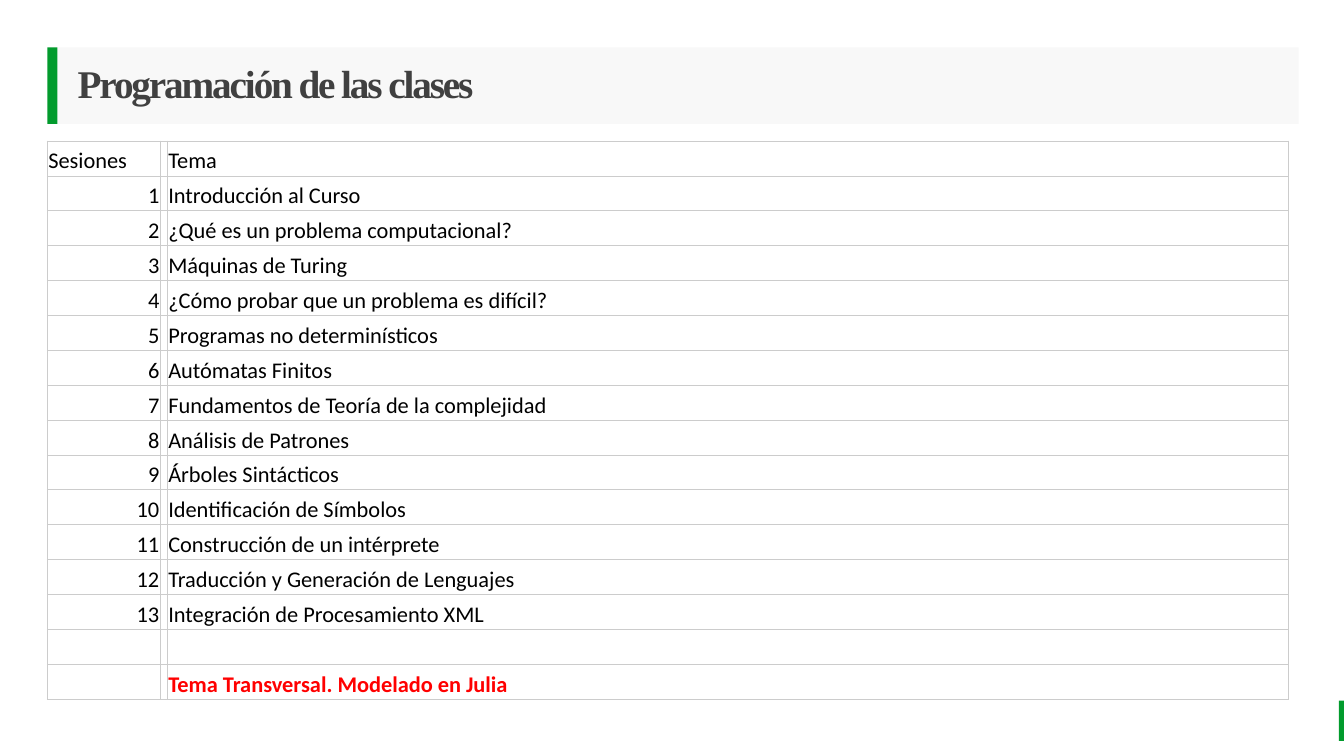
import dataclasses

import pptx
import pptx.dml.color
import pptx.enum.shapes
import pptx.enum.text
import pptx.oxml
import pptx.oxml.ns
import pptx.util
from lxml import etree

Inches = pptx.util.Inches
Pt = pptx.util.Pt
RGBColor = pptx.dml.color.RGBColor
PP_ALIGN = pptx.enum.text.PP_ALIGN
MSO_ANCHOR = pptx.enum.text.MSO_ANCHOR


@dataclasses.dataclass(frozen=True)
class Theme:
    accent: str = "029B2D"
    band: str = "F2F2F2"
    band_opacity: int = 50
    heading: str = "404040"
    text: str = "000000"
    highlight: str = "FF0000"
    border: str = "CCCCCC"
    border_width: float = 0.75
    heading_font: str = "Times New Roman"
    text_font: str = "Calibri"
    heading_size: int = 28
    text_size: int = 16
    heading_spacing: float = -1.5


THEME = Theme()
TOPICS = [
    "Introducción al Curso",
    "¿Qué es un problema computacional?",
    "Máquinas de Turing",
    "¿Cómo probar que un problema es difícil?",
    "Programas no determinísticos",
    "Autómatas Finitos",
    "Fundamentos de Teoría de la complejidad",
    "Análisis de Patrones",
    "Árboles Sintácticos",
    "Identificación de Símbolos",
    "Construcción de un intérprete",
    "Traducción y Generación de Lenguajes",
    "Integración de Procesamiento XML",
]
CROSS_TOPIC = "Tema Transversal. Modelado en Julia"
COLUMN_WIDTHS = (1.12, 0.07, 11.12)
ROW_HEIGHT = 5.54 / 16


def add_run(paragraph, text, font, size, color, bold=False):
    run = paragraph.add_run()
    run.text = text
    run.font.name = font
    run.font.size = Pt(size)
    run.font.bold = bold
    run.font.color.rgb = RGBColor.from_string(color)
    return run


def add_accent_bar(slide, left, top, width, height):
    bar = slide.shapes.add_shape(
        pptx.enum.shapes.MSO_SHAPE.RECTANGLE,
        Inches(left), Inches(top), Inches(width), Inches(height))
    bar.shadow.inherit = False
    bar.fill.solid()
    bar.fill.fore_color.rgb = RGBColor.from_string(THEME.accent)
    bar.line.fill.background()


def fill_title(title, text):
    title.left, title.top = Inches(0.57), Inches(0.47)
    title.width, title.height = Inches(12.31), Inches(0.76)
    title.fill.solid()
    title.fill.fore_color.rgb = RGBColor.from_string(THEME.band)
    band_color = title.fill._xPr.find(".//" + pptx.oxml.ns.qn("a:srgbClr"))
    etree.SubElement(band_color, pptx.oxml.ns.qn("a:alpha"),
                     val=str(THEME.band_opacity * 1000))
    frame = title.text_frame
    frame.word_wrap = True
    frame.auto_size = pptx.enum.text.MSO_AUTO_SIZE.NONE
    frame.vertical_anchor = MSO_ANCHOR.MIDDLE
    frame.margin_left = Inches(0.2)
    frame.margin_top = frame.margin_right = frame.margin_bottom = 0
    heading = frame.paragraphs[0]
    heading.alignment = PP_ALIGN.LEFT
    heading.line_spacing = 0.9
    run = add_run(heading, text, THEME.heading_font, THEME.heading_size,
                  THEME.heading, bold=True)
    run.font._element.set("spc", str(int(THEME.heading_spacing * 100)))


def set_borders(cell):
    properties = cell._tc.get_or_add_tcPr()
    for position, side in enumerate(("lnL", "lnR", "lnT", "lnB")):
        properties.insert(position, pptx.oxml.parse_xml(
            f'<a:{side} {pptx.oxml.ns.nsdecls("a")} w="{Pt(THEME.border_width)}">'
            f'<a:solidFill><a:srgbClr val="{THEME.border}"/></a:solidFill>'
            f'</a:{side}>'))


def format_cell(cell):
    cell.fill.background()
    set_borders(cell)
    cell.vertical_anchor = MSO_ANCHOR.BOTTOM
    cell.margin_left = cell.margin_right = Inches(0.01)
    cell.margin_top = cell.margin_bottom = Inches(0.01)


def write_cell(cell, text, color=THEME.text, bold=False, align=PP_ALIGN.LEFT):
    paragraph = cell.text_frame.paragraphs[0]
    paragraph.alignment = align
    add_run(paragraph, text, THEME.text_font, THEME.text_size, color, bold)


def add_schedule(slide):
    row_count = len(TOPICS) + 3
    schedule = slide.shapes.add_table(
        row_count, len(COLUMN_WIDTHS), Inches(0.47), Inches(1.4),
        Inches(sum(COLUMN_WIDTHS)), Inches(ROW_HEIGHT * row_count)).table
    schedule.first_row = schedule.horz_banding = False
    for column, width in zip(schedule.columns, COLUMN_WIDTHS):
        column.width = Inches(width)
    for row in schedule.rows:
        row.height = Inches(ROW_HEIGHT)
    for cell in schedule.iter_cells():
        format_cell(cell)
    write_cell(schedule.cell(0, 0), "Sesiones")
    write_cell(schedule.cell(0, 2), "Tema")
    for session, topic in enumerate(TOPICS, start=1):
        write_cell(schedule.cell(session, 0), str(session), align=PP_ALIGN.RIGHT)
        write_cell(schedule.cell(session, 2), topic)
    write_cell(schedule.cell(row_count - 1, 2), CROSS_TOPIC,
               color=THEME.highlight, bold=True)


def main():
    presentation = pptx.Presentation()
    presentation.slide_width = Inches(13.33)
    presentation.slide_height = Inches(7.5)
    slide = presentation.slides.add_slide(presentation.slide_layouts[5])
    add_accent_bar(slide, 13.28, 6.95, 0.05, 0.4)
    add_accent_bar(slide, 0.47, 0.47, 0.1, 0.76)
    add_schedule(slide)
    fill_title(slide.shapes.title, "Programación de las clases")
    presentation.save("out.pptx")


if __name__ == "__main__":
    main()
